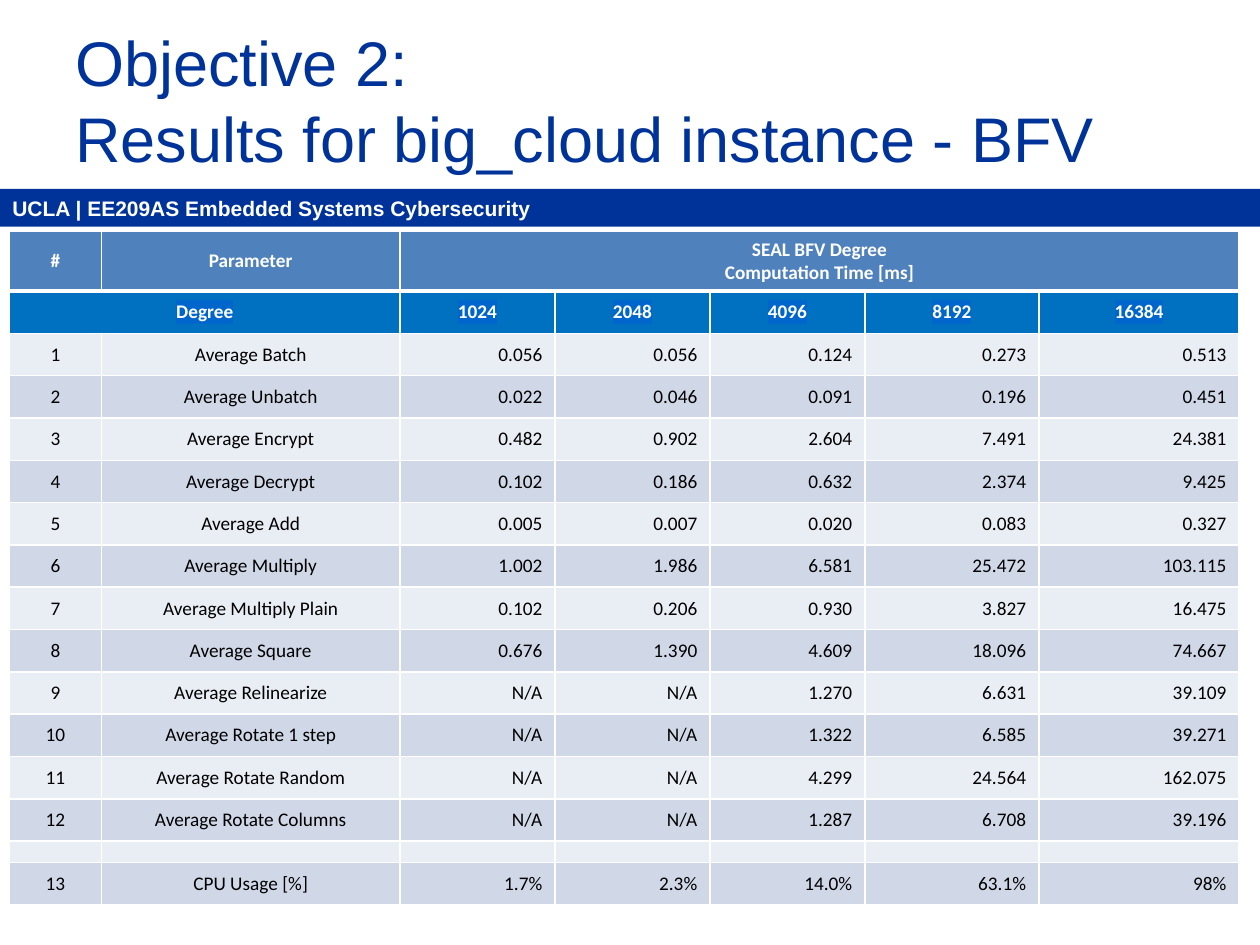
from lxml.etree import SubElement
from pptx import Presentation
from pptx.dml.color import RGBColor
from pptx.enum.shapes import MSO_SHAPE as Preset
from pptx.enum.text import MSO_ANCHOR as Anchor, PP_ALIGN as Align
from pptx.oxml import parse_xml
from pptx.oxml.ns import nsdecls, qn
from pptx.util import Inches, Pt

NAVY = RGBColor(0x00, 0x33, 0x99)
WHITE = RGBColor(0xFF, 0xFF, 0xFF)
BLACK = RGBColor(0x00, 0x00, 0x00)
STEEL = RGBColor(0x4F, 0x81, 0xBD)
AZURE = RGBColor(0x00, 0x70, 0xC0)
MARKER = RGBColor(0x00, 0x66, 0xCC)
BANDS = (RGBColor(0xE9, 0xED, 0xF4), RGBColor(0xD0, 0xD8, 0xE8))

COLUMN_SHARES = [7.3, 23.7, 12.3, 12.3, 12.3, 13.8, 15.9]
HEADER_SHARE, ROW_SHARE, SPACER_SHARE = 6.3, 4.48, 2.27

HEADINGS = ["#", "Parameter", "SEAL BFV Degree\nComputation Time [ms]", "", "", "", ""]
DEGREES = ["Degree", "", "1024", "2048", "4096", "8192", "16384"]
TIMINGS = [
    ("Average Batch", "0.056 0.056 0.124 0.273 0.513"),
    ("Average Unbatch", "0.022 0.046 0.091 0.196 0.451"),
    ("Average Encrypt", "0.482 0.902 2.604 7.491 24.381"),
    ("Average Decrypt", "0.102 0.186 0.632 2.374 9.425"),
    ("Average Add", "0.005 0.007 0.020 0.083 0.327"),
    ("Average Multiply", "1.002 1.986 6.581 25.472 103.115"),
    ("Average Multiply Plain", "0.102 0.206 0.930 3.827 16.475"),
    ("Average Square", "0.676 1.390 4.609 18.096 74.667"),
    ("Average Relinearize", "N/A N/A 1.270 6.631 39.109"),
    ("Average Rotate 1 step", "N/A N/A 1.322 6.585 39.271"),
    ("Average Rotate Random", "N/A N/A 4.299 24.564 162.075"),
    ("Average Rotate Columns", "N/A N/A 1.287 6.708 39.196"),
]
CPU_USAGE = ("CPU Usage [%]", "1.7% 2.3% 14.0% 63.1% 98%")


class ResultsSlide:
    heading_font = "Arial"
    table_font = "Calibri"
    table_size = 11

    def __init__(self, deck):
        self.width, self.height = deck.slide_width, deck.slide_height
        self.slide = deck.slides.add_slide(deck.slide_layouts[6])

    def across(self, percent):
        return round(self.width * percent / 100)

    def down(self, percent):
        return round(self.height * percent / 100)

    def box(self, left, top, width, height):
        return self.across(left), self.down(top), self.across(width), self.down(height)

    def run(self, paragraph, text, font, size, color, bold=False):
        run = paragraph.add_run()
        run.text = text
        run.font.size, run.font.bold = Pt(size), bold
        run.font.color.rgb = color
        run.font.name = font
        return run

    def title(self, lines, *place):
        frame = self.slide.shapes.add_textbox(*self.box(*place)).text_frame
        frame.word_wrap = True
        frame.vertical_anchor = Anchor.MIDDLE
        paragraph = frame.paragraphs[0]
        for index, line in enumerate(lines):
            if index:
                paragraph.add_line_break()
            self.run(paragraph, line, self.heading_font, 36, NAVY)

    def banner(self, text, *place):
        bar = self.slide.shapes.add_shape(Preset.RECTANGLE, *self.box(*place))
        bar.shadow.inherit = False
        bar.fill.solid()
        bar.fill.fore_color.rgb = NAVY
        bar.line.fill.background()
        paragraph = bar.text_frame.paragraphs[0]
        paragraph.alignment = Align.LEFT
        self.run(paragraph, text, self.heading_font, 12, WHITE, True)

    def borders(self, cell, top=1, bottom=1):
        properties = cell._tc.get_or_add_tcPr()
        for index, (side, points) in enumerate(zip("LRTB", (1, 1, top, bottom))):
            properties.insert(index, parse_xml(
                f'<a:ln{side} {nsdecls("a")} w="{Pt(points)}"><a:solidFill>'
                f'<a:srgbClr val="{WHITE}"/></a:solidFill></a:ln{side}>'))

    def highlight(self, run):
        mark = parse_xml(f'<a:highlight {nsdecls("a")}><a:srgbClr val="{MARKER}"/></a:highlight>')
        run.font._element.find(qn("a:solidFill")).addnext(mark)

    def cell(self, cell, text, fill, color, bold, align, marked=False):
        cell.fill.solid()
        cell.fill.fore_color.rgb = fill
        cell.vertical_anchor = Anchor.MIDDLE
        cell.margin_top = cell.margin_bottom = Inches(0.04 if text else 0)
        frame = cell.text_frame
        if not text:
            SubElement(frame.paragraphs[0]._p, qn("a:endParaRPr"), sz="400")
            return
        for index, line in enumerate(text.split("\n")):
            paragraph = frame.add_paragraph() if index else frame.paragraphs[0]
            paragraph.alignment = align
            run = self.run(paragraph, line, self.table_font, self.table_size, color, bold)
            if marked:
                self.highlight(run)

    def table(self, rows, heights, left, top):
        place = self.box(left, top, sum(COLUMN_SHARES), sum(heights))
        table = self.slide.shapes.add_table(len(rows), len(COLUMN_SHARES), *place).table
        table.first_row = table.horz_banding = False
        for column, share in zip(table.columns, COLUMN_SHARES):
            column.width = self.across(share)
        for row, share in zip(table.rows, heights):
            row.height = self.down(share)
        for r, row in enumerate(rows):
            heading = r < 2
            fill = (STEEL, AZURE)[r] if heading else BANDS[r % 2]
            for c, text in enumerate(row):
                align = Align.CENTER if heading or c < 2 else Align.RIGHT
                cell = table.cell(r, c)
                self.cell(cell, text, fill, WHITE if heading else BLACK, heading, align, r == 1)
                self.borders(cell, top=3 if r == 1 else 1, bottom=3 if r == 0 else 1)
        table.cell(0, 2).merge(table.cell(0, 6))
        table.cell(1, 0).merge(table.cell(1, 1))


def result_row(number, result):
    parameter, values = result
    return [str(number), parameter, *values.split()]


def main():
    deck = Presentation()
    deck.slide_width, deck.slide_height = Inches(10), Inches(7.5)
    results = ResultsSlide(deck)
    results.banner("UCLA | EE209AS Embedded Systems Cybersecurity", 0, 20, 100, 4)
    results.title(["Objective 2: ", "Results for big_cloud instance - BFV"], 5, 2.2, 90, 16.67)
    timings = [result_row(number, result) for number, result in enumerate(TIMINGS, 1)]
    spacer = [""] * len(COLUMN_SHARES)
    usage = result_row(len(TIMINGS) + 1, CPU_USAGE)
    rows = [HEADINGS, DEGREES, *timings, spacer, usage]
    heights = [HEADER_SHARE, *[ROW_SHARE] * (len(timings) + 1), SPACER_SHARE, ROW_SHARE]
    results.table(rows, heights, 0.75, 24.5)
    deck.save("out.pptx")


if __name__ == "__main__":
    main()
